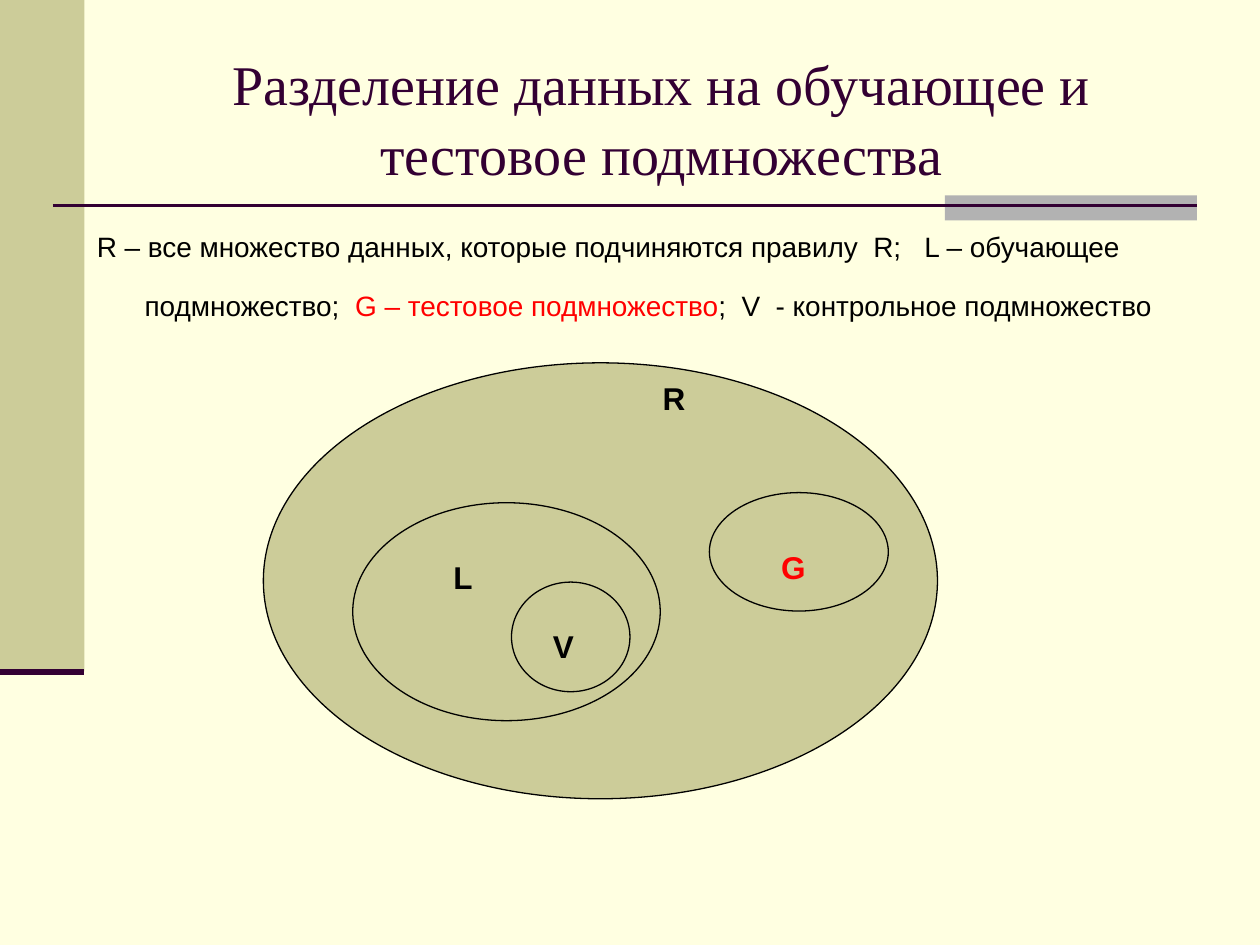
from dataclasses import dataclass

from lxml.etree import SubElement
from pptx import Presentation
from pptx.dml.color import RGBColor
from pptx.enum.shapes import MSO_CONNECTOR, MSO_SHAPE
from pptx.enum.text import MSO_ANCHOR, PP_ALIGN
from pptx.oxml.ns import qn
from pptx.util import Inches, Pt

CELL = Inches(0.1)  # the slide is a grid of 100 columns by 75 rows


@dataclass(frozen=True)
class Theme:
    background: str = "FFFFE1"
    panel: str = "CCCC99"
    tab: str = "B2B2B2"
    accent: str = "330033"
    ink: str = "000000"
    highlight: str = "FF0000"
    heading_font: str = "Times New Roman"
    body_font: str = "Arial"
    title_size: int = 32
    body_size: int = 16
    closing_size: int = 28
    label_size: int = 18
    outline: float = 0.75
    rule: float = 1.5
    thick_rule: float = 3.5


@dataclass(frozen=True)
class Box:
    """Area measured in grid columns and rows."""
    left: float
    top: float
    width: float
    height: float

    def inner(self, left, top, width, height):
        return Box(self.left + left, self.top + top, width, height)

    def lengths(self):
        return [round(n * CELL) for n in (self.left, self.top, self.width, self.height)]


THEME = Theme()
SLIDE = Box(0, 0, 100, 75)
TITLE = Box(10, 3, 85, 12.5)
LEGEND = Box(6.7, 17.5, 88.3, 55.4)
DIAGRAM = Box(20.9, 28.8, 53.5, 34.6)

TITLE_TEXT = "Разделение данных на обучающее и тестовое подмножества"
LEGEND_RUNS = [
    ("R – все множество данных, которые подчиняются правилу  R;   "
     "L – обучающее подмножество;  ", THEME.ink, THEME.body_size),
    ("G – тестовое подмножество", THEME.highlight, THEME.body_size),
    (";  V  - контрольное подмножество", THEME.ink, THEME.body_size),
    (" ", THEME.ink, THEME.closing_size),
]
# name, ellipse and label areas inside the diagram, label colour
SETS = [
    ("R", (0, 0, 53.5, 34.6), (30.7, 0.8, 7.1, 4), THEME.ink),
    ("L", (7.1, 11.1, 24.4, 17.3), (14.1, 15, 7.9, 4), THEME.ink),
    ("G", (35.4, 10.3, 14.2, 9.4), (40.1, 14.2, 5.5, 4), THEME.highlight),
    ("V", (19.7, 17.4, 9.4, 8.7), (22, 20.5, 5.5, 4), THEME.ink),
]


def colour(value):
    return RGBColor.from_string(value)


def set_attributes(target, values):
    for name, value in values.items():
        setattr(target, name, value)


def add_run(paragraph, text, value, size, font=THEME.body_font, bold=False):
    run = paragraph.add_run()
    run.text = text
    set_attributes(run.font, {"name": font, "size": Pt(size), "bold": bold})
    run.font.color.rgb = colour(value)


def add_filled(slide, kind, box, fill, outline=None):
    shape = slide.shapes.add_shape(kind, *box.lengths())
    shape.shadow.inherit = False
    shape.fill.solid()
    shape.fill.fore_color.rgb = colour(fill)
    if outline:
        shape.line.color.rgb = colour(outline)
        shape.line.width = Pt(THEME.outline)
    else:
        shape.line.fill.background()


def add_rule(slide, left, right, row, width):
    """Horizontal accent line between two columns."""
    ends = [round(n * CELL) for n in (left, row, right, row)]
    connector = slide.shapes.add_connector(MSO_CONNECTOR.STRAIGHT, *ends)
    connector.line.color.rgb = colour(THEME.accent)
    connector.line.width = Pt(width)
    SubElement(connector._element.spPr, qn("a:effectLst"))


def add_text_box(slide, box):
    frame = slide.shapes.add_textbox(*box.lengths()).text_frame
    frame.word_wrap = True
    return frame.paragraphs[0]


def add_decoration(slide, box):
    side = box.inner(0, 0, 6.7, 53.3)
    add_filled(slide, MSO_SHAPE.RECTANGLE, side, THEME.panel)
    add_filled(slide, MSO_SHAPE.RECTANGLE, box.inner(75, 15.5, 20, 2), THEME.tab)
    add_rule(slide, box.left + 4.2, box.left + 95, box.top + 16.3, THEME.rule)
    add_rule(slide, side.left, side.left + side.width, side.top + side.height,
             THEME.thick_rule)


def add_title(slide, box):
    title = slide.shapes.title
    set_attributes(title, dict(zip(("left", "top", "width", "height"), box.lengths())))
    set_attributes(title.text_frame, {"word_wrap": True,
                                      "vertical_anchor": MSO_ANCHOR.MIDDLE})
    paragraph = title.text_frame.paragraphs[0]
    set_attributes(paragraph, {"alignment": PP_ALIGN.CENTER, "line_spacing": 1.04})
    add_run(paragraph, TITLE_TEXT, THEME.accent, THEME.title_size, THEME.heading_font)


def add_legend(slide, box):
    paragraph = add_text_box(slide, box)
    paragraph.line_spacing = 1.08
    properties = paragraph._p.get_or_add_pPr()
    hanging = Inches(0.38)
    properties.set("marL", str(hanging))
    properties.set("indent", str(-hanging))
    for text, value, size in LEGEND_RUNS:
        add_run(paragraph, text, value, size)


def add_set_diagram(slide, box):
    for name, ellipse, label, value in SETS:
        add_filled(slide, MSO_SHAPE.OVAL, box.inner(*ellipse), THEME.panel, THEME.ink)
        paragraph = add_text_box(slide, box.inner(*label))
        add_run(paragraph, name, value, THEME.label_size, bold=True)


def main():
    presentation = Presentation()
    set_attributes(presentation, {"slide_width": SLIDE.width * CELL,
                                  "slide_height": SLIDE.height * CELL})
    slide = presentation.slides.add_slide(
        presentation.slide_layouts.get_by_name("Title Only"))
    slide.background.fill.solid()
    slide.background.fill.fore_color.rgb = colour(THEME.background)
    add_decoration(slide, SLIDE)
    add_title(slide, TITLE)
    add_legend(slide, LEGEND)
    add_set_diagram(slide, DIAGRAM)
    presentation.save("out.pptx")


if __name__ == "__main__":
    main()
